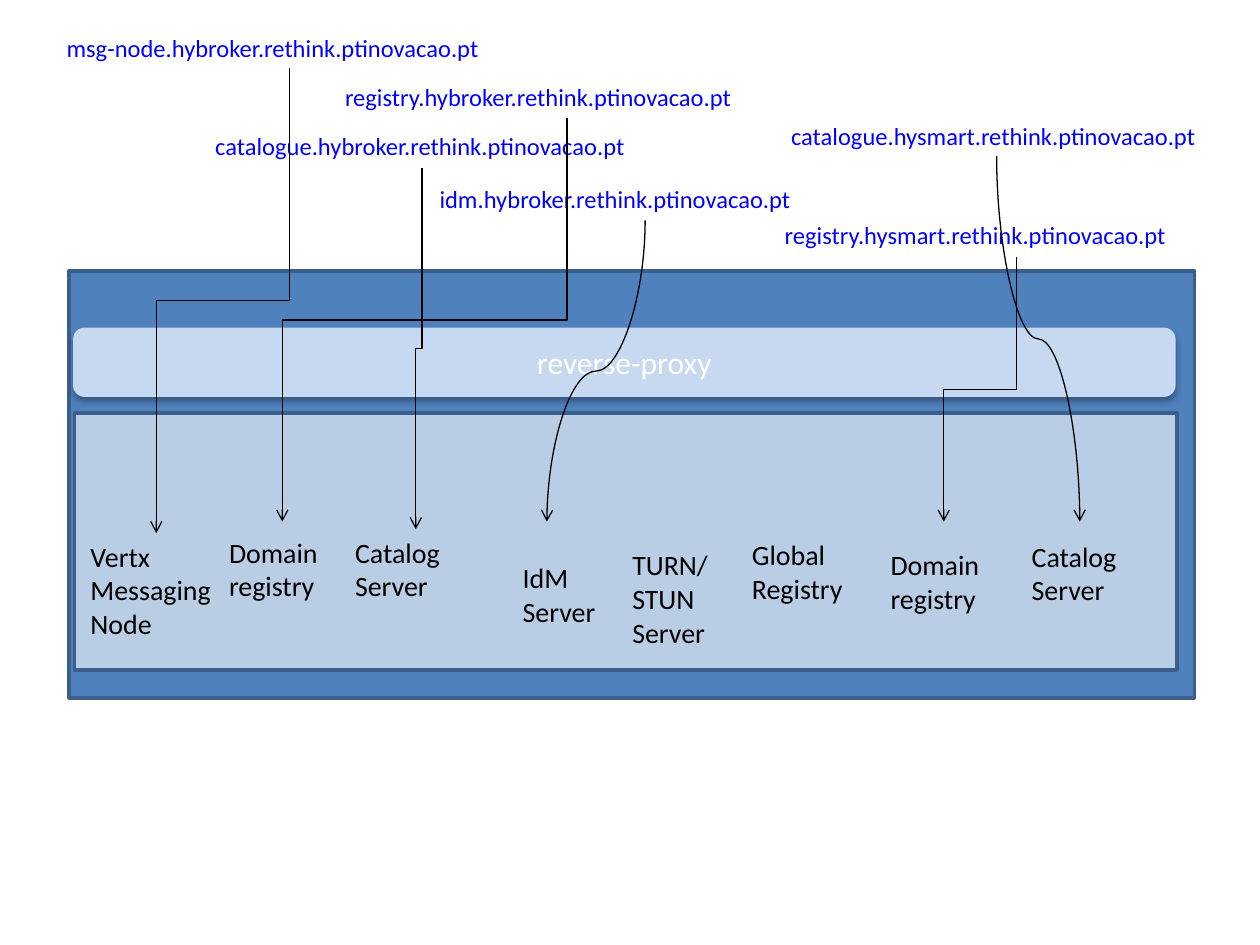
from dataclasses import dataclass

from lxml import etree
from pptx import Presentation
from pptx.dml.color import RGBColor
from pptx.enum.shapes import MSO_CONNECTOR as CONN, MSO_SHAPE as SHAPE
from pptx.enum.text import MSO_ANCHOR, MSO_AUTO_SIZE, PP_ALIGN
from pptx.oxml.ns import qn
from pptx.util import Inches, Pt


@dataclass(frozen=True)
class Theme:
    font: str = "Calibri"
    host: str = "4F81BD"
    panel: str = "B9CDE5"
    proxy: str = "C6D9F1"
    border: str = "3A5F8C"
    address: str = "0000FF"
    ink: str = "000000"
    white: str = "FFFFFF"
    address_size: int = 14
    server_size: int = 16
    proxy_size: int = 18


T = Theme()

# left, top, width, text
ADDRESSES = [
    (0.43, 0.21, 3.73, "msg-node.hybroker.rethink.ptinovacao.pt"),
    (2.64, 0.6, 3.73, "registry.hybroker.rethink.ptinovacao.pt"),
    (1.61, 0.99, 3.46, "catalogue.hybroker.rethink.ptinovacao.pt"),
    (3.39, 1.41, 3.46, "idm.hybroker.rethink.ptinovacao.pt"),
    (6.18, 0.91, 3.46, "catalogue.hysmart.rethink.ptinovacao.pt"),
    (6.13, 1.7, 3.87, "registry.hysmart.rethink.ptinovacao.pt"),
]

# left and top within the server panel, width, paragraphs
SERVERS = [
    (0.03, 0.95, 1.23, ["Vertx", "Messaging", "Node"]),
    (1.13, 0.92, 1.07, ["Domain registry"]),
    (2.13, 0.92, 1.17, ["Catalog", "Server"]),
    (3.46, 1.12, 1.07, ["IdM", "Server"]),
    (4.33, 1.02, 1.07, ["TURN/", "STUN", "Server"]),
    (5.28, 0.94, 1.07, ["Global Registry"]),
    (6.38, 1.02, 1.07, ["Domain registry"]),
    (7.5, 0.95, 1.07, ["Catalog", "Server"]),
]

# kind, start x, start y, end x, end y
ROUTES = [
    (CONN.ELBOW, 2.3, 0.54, 1.24, 4.23),
    (CONN.ELBOW, 4.5, 0.94, 2.24, 4.14),
    (CONN.ELBOW, 3.35, 1.33, 3.3, 4.2),
    (CONN.CURVE, 5.12, 1.75, 4.34, 4.14),
    (CONN.CURVE, 7.91, 1.24, 8.57, 4.14),
    (CONN.ELBOW, 8.07, 2.04, 7.49, 4.14),
]


def rgb(value):
    return RGBColor.from_string(value)


def set_font(p, size, color):
    p.font.name, p.font.size = T.font, Pt(size)
    p.font.color.rgb = rgb(color)


def add_box(s, box, kind, fill, border=None):
    sp = s.shapes.add_shape(kind, *map(Inches, box))
    sp.shadow.inherit = False
    sp.fill.solid()
    sp.fill.fore_color.rgb = rgb(fill)
    if border:
        sp.line.color.rgb = rgb(border)
        sp.line.width = Pt(2)
    else:
        sp.line.fill.background()
    return sp


def add_label(s, box, paragraphs, size, color):
    sp = s.shapes.add_textbox(*map(Inches, box))
    tf = sp.text_frame
    tf.word_wrap = True
    tf.auto_size = MSO_AUTO_SIZE.SHAPE_TO_FIT_TEXT
    tf.text = "\n".join(paragraphs)
    for p in tf.paragraphs:
        set_font(p, size, color)


def add_route(s, kind, x1, y1, x2, y2):
    """Arrow that leaves downwards and arrives downwards: a level connector turned a quarter."""
    run, drop = abs(x2 - x1), y2 - y1
    left, top = (x1 + x2 - drop) / 2, (y1 + y2 - run) / 2
    start, end, turn = left, left + drop, 90
    if x2 > x1:
        start, end, turn = end, start, 270
    line = s.shapes.add_connector(kind, *map(Inches, (start, top, end, top + run)))
    line.line.color.rgb = rgb(T.ink)
    line.line.width = Pt(0.75)
    spPr = line._element.spPr
    spPr.find(qn("a:xfrm")).set("rot", str(turn * 60000))
    etree.SubElement(spPr.find(qn("a:ln")), qn("a:tailEnd"), type="arrow")
    etree.SubElement(spPr, qn("a:effectLst"))


def add_proxy(s, box):
    sp = add_box(s, box, SHAPE.ROUNDED_RECTANGLE, T.proxy)
    effects = sp._element.spPr.find(qn("a:effectLst"))
    shadow = etree.SubElement(effects, qn("a:outerShdw"), blurRad=str(Pt(3.5)),
                              dist=str(Pt(2.2)), dir="5400000", rotWithShape="0")
    color = etree.SubElement(shadow, qn("a:srgbClr"), val=T.ink)
    etree.SubElement(color, qn("a:alpha"), val="32000")
    tf = sp.text_frame
    tf.vertical_anchor = MSO_ANCHOR.MIDDLE
    tf.text = "reverse-proxy"
    p = tf.paragraphs[0]
    p.alignment = PP_ALIGN.CENTER
    set_font(p, T.proxy_size, T.white)


def add_servers(s, box):
    add_box(s, box, SHAPE.RECTANGLE, T.panel, T.border)
    for dx, dy, width, lines in SERVERS:
        height = 0.91 if len(lines) == 3 else 0.64
        add_label(s, (box[0] + dx, box[1] + dy, width, height), lines,
                  T.server_size, T.ink)


def add_host(s, box):
    left, top, width, height = box
    add_box(s, box, SHAPE.RECTANGLE, T.host, T.border)
    add_servers(s, (left + 0.04, top + 1.13, width - 0.18, height - 1.35))
    add_proxy(s, (left + 0.03, top + 0.45, width - 0.18, 0.55))


def main():
    prs = Presentation()
    prs.slide_width, prs.slide_height = Inches(10), Inches(7.5)
    s = prs.slides.add_slide(prs.slide_layouts[6])
    add_host(s, (0.55, 2.15, 8.93, 3.39))
    for left, top, width, text in ADDRESSES:
        add_label(s, (left, top, width, 0.34), [text], T.address_size, T.address)
    for route in ROUTES:
        add_route(s, *route)
    prs.save("out.pptx")


if __name__ == "__main__":
    main()
